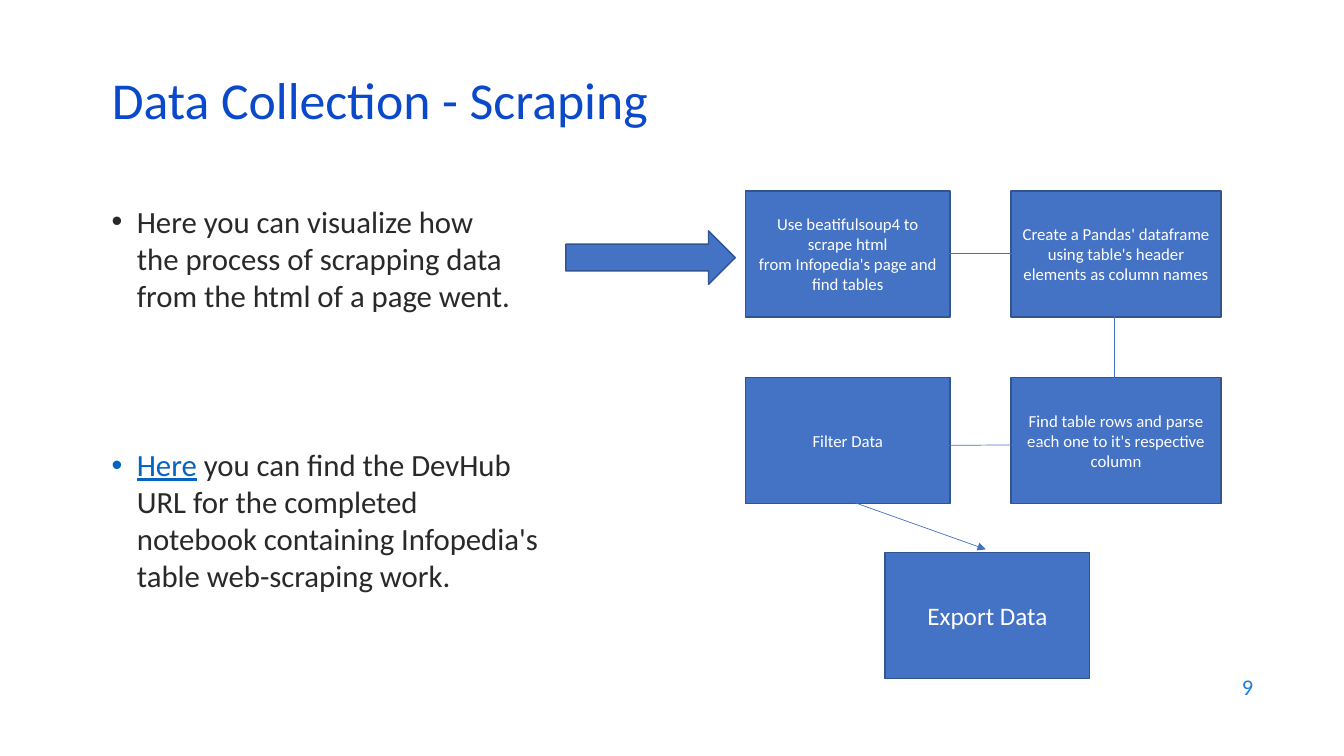
from lxml.etree import SubElement
from pptx import Presentation
from pptx.dml.color import RGBColor
from pptx.enum.shapes import MSO_CONNECTOR, MSO_SHAPE
from pptx.enum.text import MSO_ANCHOR, PP_ALIGN
from pptx.oxml.ns import qn
from pptx.util import Pt

BLUE, BORDER, INK = "4472C4", "325491", "292929"
HARD_SPACE = chr(160)


def colour(value):
    return RGBColor.from_string(value)


def write(para, text, size=22, ink=INK, align=PP_ALIGN.LEFT, underline=False):
    """Append a formatted span; a tilde in the text stands for a hard space."""
    para.alignment = align
    span = para.add_run()
    span.text = text.replace("~", HARD_SPACE)
    span.font.name = "Calibri"
    span.font.size = Pt(size)
    span.font.color.rgb = colour(ink)
    span.font.underline = underline


deck = Presentation()
deck.slide_width, deck.slide_height = Pt(960), Pt(540)
page = deck.slides.add_slide(deck.slide_layouts[5])

# Title
title = page.shapes.title
title.left, title.top, title.width, title.height = Pt(72.7), Pt(54.7), Pt(828), Pt(43.2)
title.text_frame.vertical_anchor = MSO_ANCHOR.MIDDLE
title.text_frame.paragraphs[0].line_spacing = 0.7
write(title.text_frame.paragraphs[0], "Data Collection - Scraping", size=37, ink="0B49CB")

# Page number
number = page.shapes.add_textbox(Pt(686.2), Pt(474.5), Pt(216), Pt(31.7))
number.text_frame.word_wrap = True
number.text_frame.vertical_anchor = MSO_ANCHOR.MIDDLE
write(number.text_frame.paragraphs[0], "9", size=16, ink="1C7DDB", align=PP_ALIGN.RIGHT)

# Bulleted explanation
body = page.shapes.add_textbox(Pt(72.7), Pt(141.1), Pt(340.6), Pt(299.5)).text_frame
body.word_wrap = True
process, notebook = body.paragraphs[0], body.add_paragraph()
for para in (process, notebook):
    properties = para._p.get_or_add_pPr()
    properties.set("marL", str(Pt(18)))
    properties.set("indent", str(-Pt(18)))
    SubElement(properties, qn("a:buFont")).set("typeface", "Arial")
    SubElement(properties, qn("a:buChar")).set("char", "•")
notebook.space_before = Pt(94.7)
write(process, "Here you can visualize how the~process of scrapping data from the html of a page went.")
write(notebook, "Here", ink="0563C1", underline=True)
write(notebook, "~you can find the DevHub URL~for the completed notebook~containing Infopedia's "
                "table~web-scraping work.")

# Process steps: left, top, width, text size, text
left, right, upper, lower = 532.5, 722.2, 136.4, 269.6
steps = [
    (632.2, 394.8, 146.2, 18, "Export Data"),
    (left, upper, 146.2, 12,
     "Use beatifulsoup4 to scrape html from~Infopedia's page and find tables"),
    (right, upper, 150, 12,
     "Create a Pandas' dataframe using table's~header elements as column names"),
    (right, lower, 150, 12, "Find table rows and parse each one to it's respective column"),
    (left, lower, 146.2, 12, "Filter Data"),
]
blocks = []
for x, y, width, size, text in steps:
    box = page.shapes.add_shape(MSO_SHAPE.RECTANGLE, Pt(x), Pt(y), Pt(width), Pt(90))
    box.text_frame.word_wrap = True
    box.text_frame.vertical_anchor = MSO_ANCHOR.MIDDLE
    write(box.text_frame.paragraphs[0], text, size=size, ink="FFFFFF", align=PP_ALIGN.CENTER)
    blocks.append(box)

# Links between the steps
links = [
    (657.4, 180.7, 727.9, 180.7),
    (796, 219.6, 796, 274.3),
    (664.6, 318.2, 744.5, 317.7),
    (607, 357.8, 704.2, 392.4),
]
for ends in links:
    link = page.shapes.add_connector(MSO_CONNECTOR.STRAIGHT, *map(Pt, ends))
    link.line.color.rgb = colour(BLUE)
    link.line.width = Pt(0.5)
    SubElement(link._element.spPr, qn("a:effectLst"))
SubElement(link.line._get_or_add_ln(), qn("a:tailEnd")).set("type", "triangle")

blocks.append(page.shapes.add_shape(
    MSO_SHAPE.RIGHT_ARROW, Pt(404.2), Pt(164.9), Pt(121), Pt(38.2)))
for block in blocks:
    block.shadow.inherit = False
    block.fill.solid()
    block.fill.fore_color.rgb = colour(BLUE)
    block.line.color.rgb = colour(BORDER)
    block.line.width = Pt(1)

deck.save("out.pptx")
